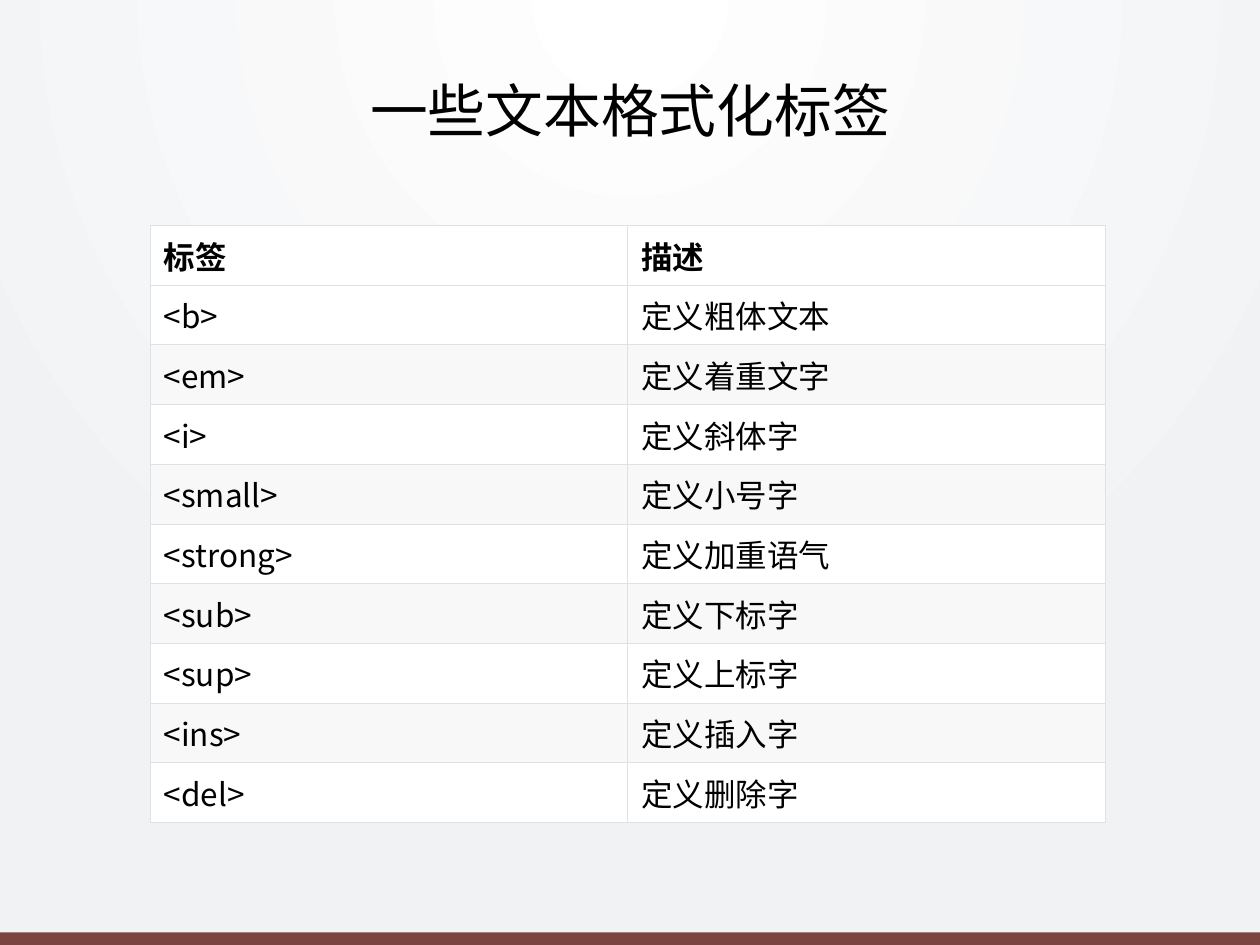
import pptx
import pptx.dml.color
import pptx.enum.shapes
import pptx.enum.text
import pptx.oxml
import pptx.oxml.ns
import pptx.util
from pptx.util import Inches

TITLE = "一些文本格式化标签"
ROWS = [
    ("标签", "描述"),
    ("<b>", "定义粗体文本"),
    ("<em>", "定义着重文字"),
    ("<i>", "定义斜体字"),
    ("<small>", "定义小号字"),
    ("<strong>", "定义加重语气"),
    ("<sub>", "定义下标字"),
    ("<sup>", "定义上标字"),
    ("<ins>", "定义插入字"),
    ("<del>", "定义删除字"),
]
COLUMN_WIDTH = 3.79
ROW_HEIGHT = 0.474
BORDER = "DFE2E5"
NAMESPACE = pptx.oxml.ns.nsdecls("a")


def color(value):
    return pptx.dml.color.RGBColor.from_string(value)


def paint(shape, value):
    shape.fill.solid()
    shape.fill.fore_color.rgb = color(value)


def style(para, font_name, size, bold=False):
    para.font.name = font_name
    para.font.size = pptx.util.Pt(size)
    para.font.bold = bold
    para.font.color.rgb = color("000000")


def set_background(page):
    page.background.fill.solid()
    properties = page.element.find(".//" + pptx.oxml.ns.qn("p:bgPr"))
    gradient = pptx.oxml.parse_xml(
        f'<a:gradFill {NAMESPACE} rotWithShape="1"><a:gsLst>'
        '<a:gs pos="0"><a:srgbClr val="FFFFFF"/></a:gs>'
        '<a:gs pos="100000"><a:srgbClr val="F0F2F4"/></a:gs></a:gsLst>'
        '<a:path path="circle"><a:fillToRect l="50000" t="-80000" r="50000" b="180000"/></a:path>'
        '</a:gradFill>'
    )
    properties.replace(properties[0], gradient)


def set_borders(cell):
    properties = cell._tc.get_or_add_tcPr()
    for index, side in enumerate(("lnL", "lnR", "lnT", "lnB")):
        line = pptx.oxml.parse_xml(
            f'<a:{side} {NAMESPACE} w="{pptx.util.Pt(0.6)}"><a:solidFill>'
            f'<a:srgbClr val="{BORDER}"/></a:solidFill></a:{side}>'
        )
        properties.insert(index, line)


def add_title(page):
    box = page.shapes.add_textbox(Inches(0.51), Inches(0.44), Inches(8.98), Inches(0.92))
    frame = box.text_frame
    frame.word_wrap = True
    frame.vertical_anchor = pptx.enum.text.MSO_ANCHOR.MIDDLE
    para = frame.paragraphs[0]
    para.text = TITLE
    para.alignment = pptx.enum.text.PP_ALIGN.CENTER
    para.line_spacing = 0.9
    style(para, "Calibri", 33)


def add_tag_table(page):
    count = len(ROWS)
    table = page.shapes.add_table(
        count, 2, Inches(1.19), Inches(1.79),
        Inches(2 * COLUMN_WIDTH), Inches(count * ROW_HEIGHT),
    ).table
    table.horz_banding = False
    for column in table.columns:
        column.width = Inches(COLUMN_WIDTH)
    for row_index, texts in enumerate(ROWS):
        table.rows[row_index].height = Inches(ROW_HEIGHT)
        shaded = row_index > 0 and row_index % 2 == 0
        for column_index, text in enumerate(texts):
            cell = table.cell(row_index, column_index)
            cell.margin_left = cell.margin_right = Inches(0.11)
            cell.margin_top = cell.margin_bottom = Inches(0.05)
            cell.vertical_anchor = pptx.enum.text.MSO_ANCHOR.MIDDLE
            paint(cell, "F8F8F8" if shaded else "FFFFFF")
            set_borders(cell)
            para = cell.text_frame.paragraphs[0]
            para.text = text
            style(para, "Noto Sans CJK SC", 18, bold=row_index == 0)


def main():
    deck = pptx.Presentation()
    deck.slide_width, deck.slide_height = Inches(10), Inches(7.5)
    page = deck.slides.add_slide(deck.slide_layouts[6])
    set_background(page)
    bar = page.shapes.add_shape(
        pptx.enum.shapes.MSO_SHAPE.RECTANGLE, 0, Inches(7.4), Inches(10), Inches(0.1)
    )
    bar.shadow.inherit = False
    paint(bar, "7B4441")
    bar.line.fill.background()
    add_title(page)
    add_tag_table(page)
    deck.save("out.pptx")


if __name__ == "__main__":
    main()
